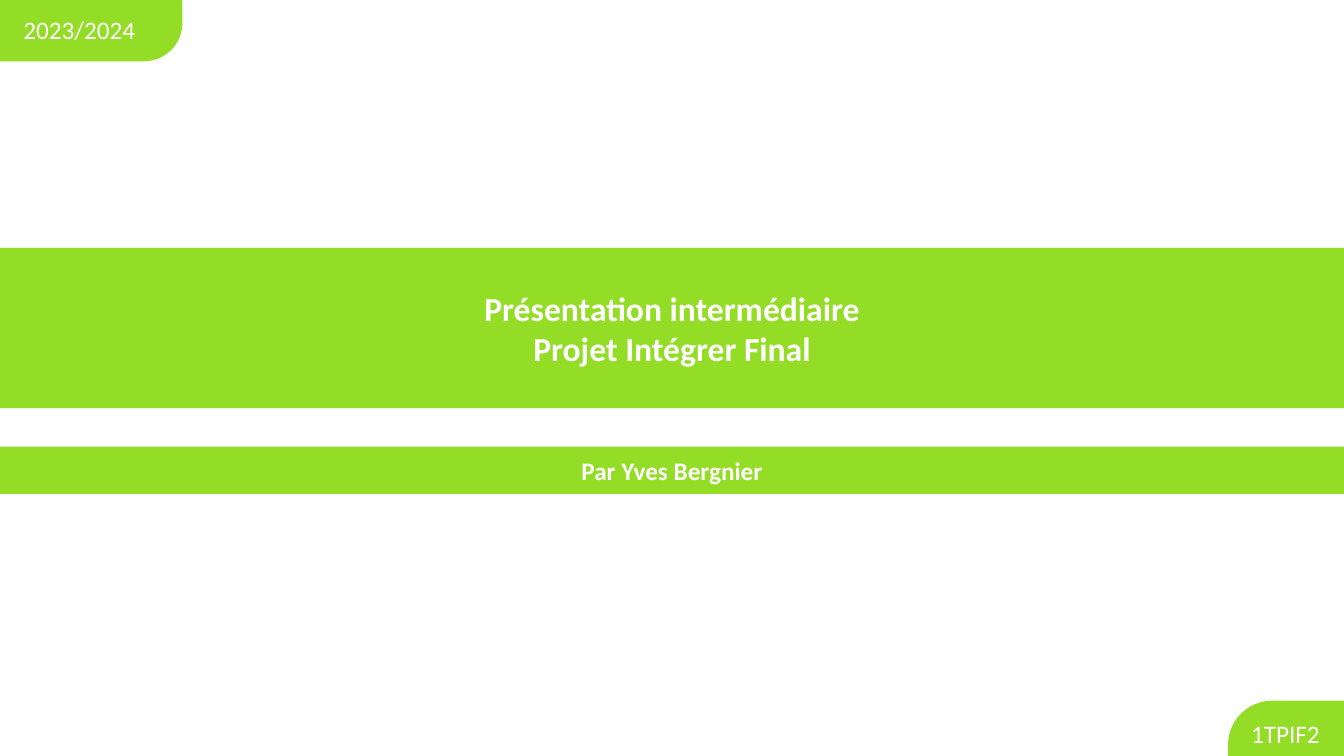
from dataclasses import dataclass

from pptx import Presentation
from pptx.dml.color import RGBColor
from pptx.enum.shapes import MSO_SHAPE as Shape
from pptx.enum.text import MSO_ANCHOR as Anchor, PP_ALIGN as Align
from pptx.util import Inches, Pt

SLIDE_WIDTH, SLIDE_HEIGHT = Inches(13.33), Inches(7.5)


@dataclass(frozen=True)
class Theme:
    green: RGBColor = RGBColor(0x94, 0xDD, 0x26)
    white: RGBColor = RGBColor(0xFF, 0xFF, 0xFF)
    font: str = "Calibri"
    title_size: int = 24
    label_size: int = 18
    corner: float = 0.4


THEME = Theme()


def across(percent):
    return round(SLIDE_WIDTH * percent / 100)


def down(percent):
    return round(SLIDE_HEIGHT * percent / 100)


def add_panel(slide, preset, left, top, width, height):
    """Add a plain green shape, placed in percent of the slide's size."""
    panel = slide.shapes.add_shape(
        preset, across(left), down(top), across(width), down(height))
    panel.shadow.inherit = False
    panel.fill.solid()
    panel.fill.fore_color.rgb = THEME.green
    panel.line.fill.background()
    return panel


def write(panel, lines, size, align, anchor, bold=False):
    frame = panel.text_frame
    frame.text = "\n".join(lines)
    frame.word_wrap = True
    frame.vertical_anchor = anchor
    for paragraph in frame.paragraphs:
        paragraph.alignment = align
        for run in paragraph.runs:
            run.font.name = THEME.font
            run.font.size = Pt(size)
            run.font.bold = bold
            run.font.color.rgb = THEME.white


def add_band(slide, lines, top, height, size):
    """Add a full-width band with bold centred text."""
    band = add_panel(slide, Shape.RECTANGLE, 0, top, 100, height)
    write(band, lines, size, Align.CENTER, Anchor.MIDDLE, bold=True)


def add_corner_tab(slide, label, left, top, width, height, indent, drop):
    """Add a rounded tab bleeding over a slide corner; indent and drop place its label."""
    tab = add_panel(slide, Shape.ROUNDED_RECTANGLE, left, top, width, height)
    tab.adjustments[0] = THEME.corner
    write(tab, [label], THEME.label_size, Align.LEFT, Anchor.TOP)
    tab.text_frame.margin_left = across(indent)
    tab.text_frame.margin_top = down(drop)


def main():
    deck = Presentation()
    deck.slide_width, deck.slide_height = SLIDE_WIDTH, SLIDE_HEIGHT
    slide = deck.slides.add_slide(deck.slide_layouts[6])

    add_band(slide, ["Présentation intermédiaire", "Projet Intégrer Final"],
             top=32.8, height=21.2, size=THEME.title_size)
    add_corner_tab(slide, "2023/2024", left=-3.45, top=-4.67,
                   width=17.03, height=12.8, indent=4.35, drop=5.07)
    add_band(slide, ["Par Yves Bergnier"],
             top=59.07, height=6.27, size=THEME.label_size)
    add_corner_tab(slide, "1TPIF2", left=91.37, top=92.67,
                   width=17.33, height=14.67, indent=0.75, drop=0.67)

    deck.save("out.pptx")


if __name__ == "__main__":
    main()
